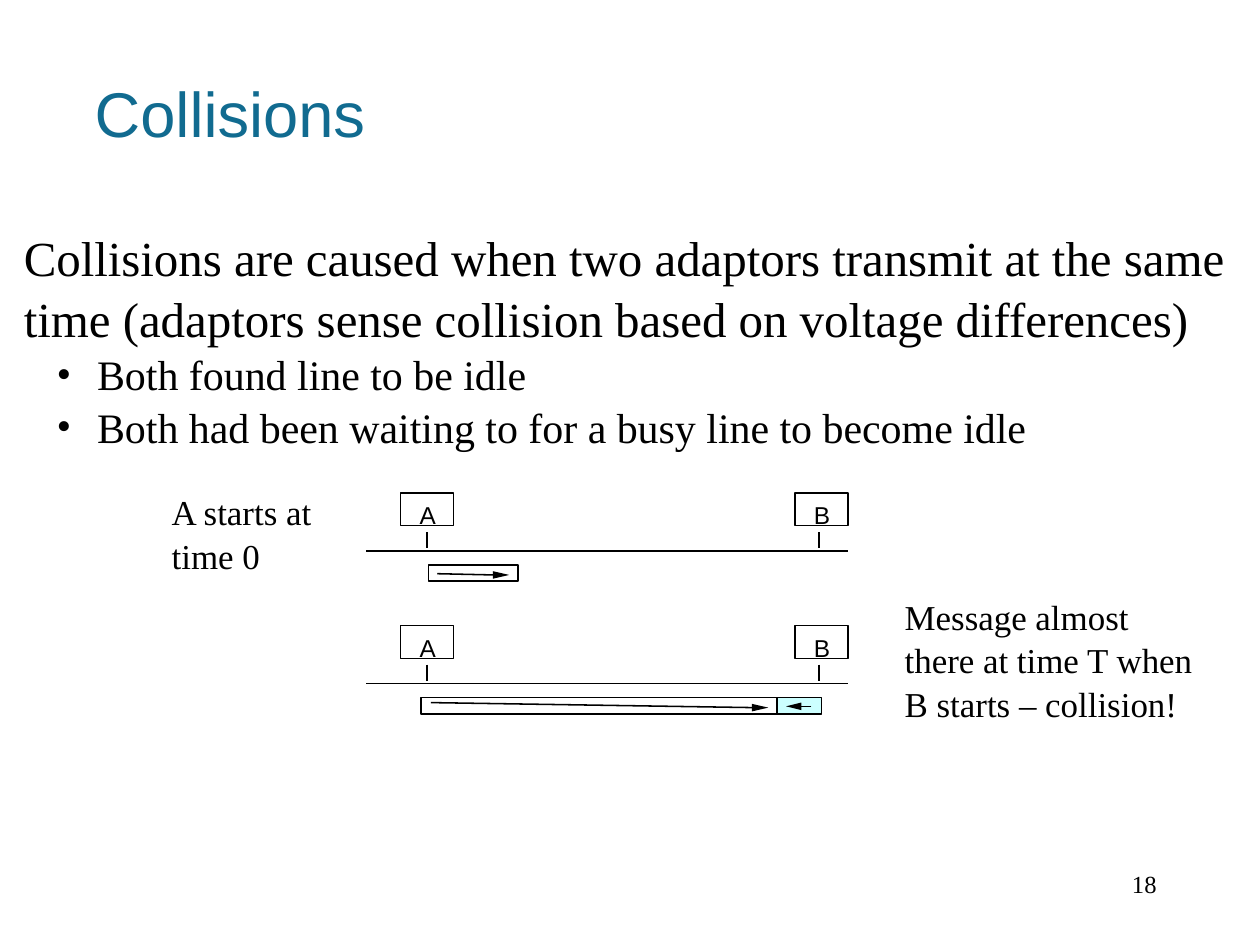
from pptx import Presentation
from pptx.dml.color import RGBColor
from pptx.enum.shapes import MSO_CONNECTOR, MSO_SHAPE
from pptx.enum.text import MSO_ANCHOR, PP_ALIGN
from pptx.oxml.ns import qn
from pptx.util import Inches, Pt
from lxml import etree

tint = RGBColor.from_string
deck = Presentation()
deck.slide_width, deck.slide_height = Inches(9.97), Inches(7.47)
slide = deck.slides.add_slide(deck.slide_layouts[6])
shapes = slide.shapes


def write(area, lines, size, font="Times New Roman", color="000000", pad=True, wrap=False, **style):
    frame = shapes.add_textbox(*map(Inches, area)).text_frame
    frame.word_wrap = wrap
    frame.vertical_anchor = MSO_ANCHOR.TOP
    if not pad:
        for side in ("left", "top", "right", "bottom"):
            setattr(frame, f"margin_{side}", 0)
    frame.text = "\n".join(lines)
    for para in frame.paragraphs:
        for name, value in style.items():
            setattr(para, name, value)
        for name, value in {"size": Pt(size), "name": font}.items():
            setattr(para.font, name, value)
        para.font.color.rgb = tint(color)
    return frame


def draw(start, end):
    line = shapes.add_connector(MSO_CONNECTOR.STRAIGHT, *map(Inches, (*start, *end)))
    line.line.color.rgb = tint("000000")
    line.line.width = Pt(0.88)
    etree.SubElement(line._element.spPr, qn("a:effectLst"))


write((0.75, 0.66, 8.47, 1.08), ["Collisions"], 36, "Arial", "116B90",
      pad=False, wrap=True, line_spacing=0.9)
write((7.17, 6.83, 2.08, 0.5), ["18"], 14, wrap=True, alignment=PP_ALIGN.RIGHT)

body = write((0.09, 1.73, 9.93, 1.84), [
    "Collisions are caused when two adaptors transmit at the same",
    "time (adaptors sense collision based on voltage differences)",
    "Both found line to be idle",
    "Both had been waiting to for a busy line to become idle",
], 27.9, line_spacing=1.04)
for para in body.paragraphs[2:]:
    para.font.size = Pt(23.9)
    props = para._p.get_or_add_pPr()
    props.set("marL", str(Inches(0.58)))
    props.set("indent", str(Inches(-0.32)))
    etree.SubElement(props, qn("a:buFont")).set("typeface", "Times New Roman")
    etree.SubElement(props, qn("a:buChar")).set("char", "•")

write((1.26, 3.82, 1.32, 0.76), ["A starts at", "time 0"], 19.9, line_spacing=1.04)
write((7.06, 4.65, 2.49, 1.1),
      ["Message almost", "there at time T when", "B starts – collision!"],
      19.9, line_spacing=1.04)

boxes = [(3.39, 4.47, 0.71, 0.13, None),
         (3.33, 5.52, 2.82, 0.13, None),
         (6.15, 5.52, 0.35, 0.13, "CCFFFF")]
for top in (3.9, 4.95):
    draw((2.9, top + 0.46), (6.71, top + 0.46))
    for name, left, stem in (("A", 3.17, 3.38), ("B", 6.29, 6.48)):
        boxes.append((left, top, 0.42, 0.26, None))
        draw((stem, top + 0.31), (stem, top + 0.44))
        write((left + 0.15, top + 0.06, 0.13, 0.23), [name], 13.9, "Arial", pad=False)

for left, top, width, height, fill in boxes:
    box = shapes.add_shape(MSO_SHAPE.RECTANGLE, *map(Inches, (left, top, width, height)))
    box.shadow.inherit = False
    box.line.color.rgb = tint("000000")
    box.line.width = Pt(0.88)
    if fill:
        box.fill.solid()
        box.fill.fore_color.rgb = tint(fill)
    else:
        box.fill.background()

for start, end, tip in (((3.46, 4.54), (3.92, 4.55), 4.03),
                        ((3.41, 5.56), (6, 5.6), 6.08),
                        ((6.42, 5.59), (6.32, 5.59), 6.22)):
    draw(start, end)
    mid = end[1]
    base = tip - 0.13 if tip > start[0] else tip + 0.12
    path = shapes.build_freeform(Inches(base), Inches(mid - 0.03))
    path.add_line_segments([(Inches(tip), Inches(mid)), (Inches(base), Inches(mid + 0.03))])
    head = path.convert_to_shape()
    head.shadow.inherit = False
    head.fill.solid()
    head.fill.fore_color.rgb = tint("000000")
    head.line.fill.background()

deck.save("out.pptx")
